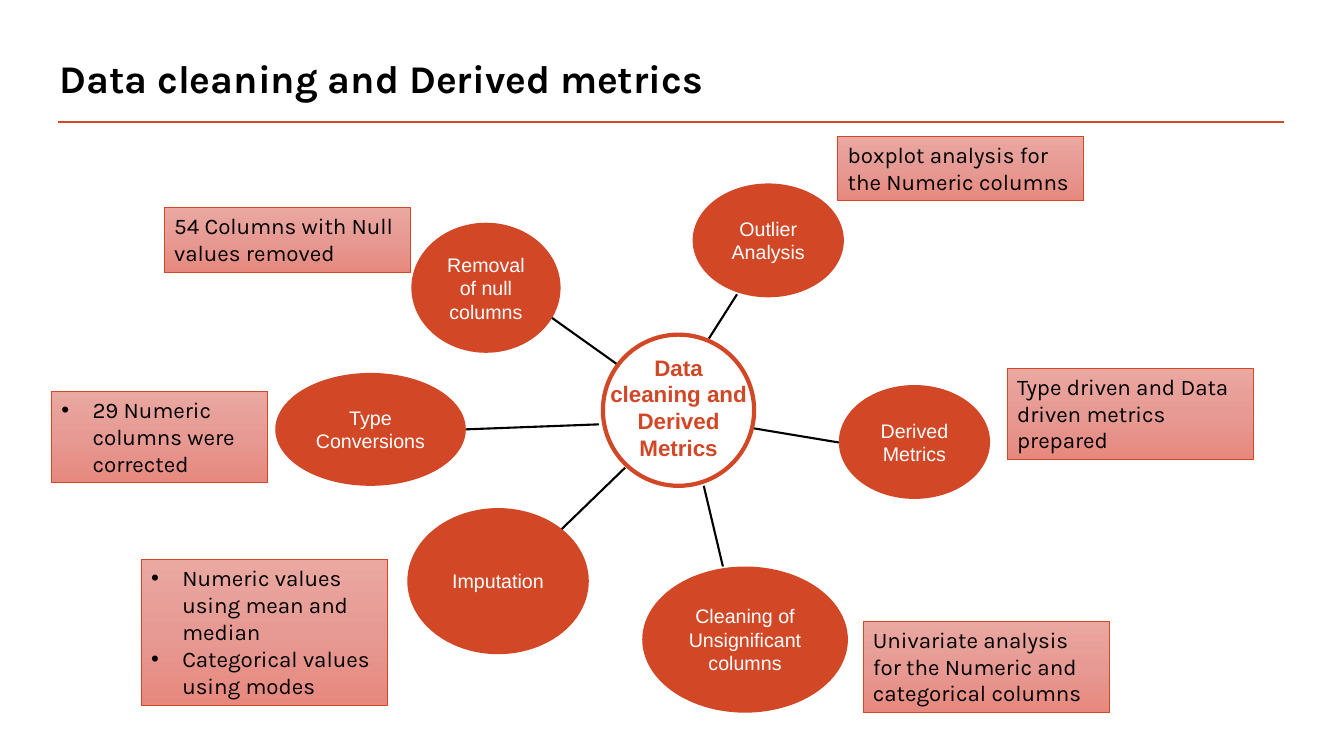
from copy import deepcopy

from lxml import etree
from pptx import Presentation
from pptx import util as u
from pptx.dml.color import RGBColor
from pptx.enum import shapes, text
from pptx.oxml import ns

PX = 9144  # EMU per px, 100 px to the inch

ORANGE = RGBColor(0xD2, 0x47, 0x26)
WHITE = RGBColor(0xFF, 0xFF, 0xFF)
BLACK = RGBColor(0x00, 0x00, 0x00)
NOTE_STOPS = [(0, RGBColor(0xEA, 0xA8, 0xA1)),
              (0.5, RGBColor(0xE6, 0x9A, 0x93)),
              (1, RGBColor(0xE7, 0x88, 0x7E))]

# Spokes: x1, y1, x2, y2
SPOKES = [
    (641, 382, 547, 315),
    (620, 464, 557, 525),
    (698, 482, 717, 562),
    (731, 292, 703, 336),
    (832, 439, 748, 425),
    (594, 421, 461, 426),
]

# Topics: label, then left, top, width, height
TOPICS = [
    ("Removal of null columns", (408, 221, 148, 129)),
    ("Imputation", (404, 504, 180, 145)),
    ("Outlier Analysis", (687, 182, 150, 113)),
    ("Cleaning of Unsignificant columns", (637, 562, 204, 145)),
    ("Derived Metrics", (832, 382, 150, 113)),
    ("Type Conversions", (273, 370, 189, 112)),
]

# Notes: lines, bulleted or not, then left, top, width, height
NOTES = [
    (["54 Columns with Null values removed"], False, (163, 206, 244, 64)),
    (["Numeric values using mean and median",
      "Categorical values using modes"], True, (140, 555, 244, 145)),
    (["boxplot analysis for the Numeric columns"], False, (831, 135, 244, 64)),
    (["Univariate analysis for the Numeric and categorical columns"], False,
     (856, 616, 244, 91)),
    (["Type driven and Data driven metrics prepared"], False,
     (999, 365, 244, 91)),
    (["29 Numeric columns were corrected"], True, (51, 388, 214, 91)),
]


def px(*lengths):
    return [u.Emu(n * PX) for n in lengths]


def write(sp, lines, font, size, color, bold=False,
          align=text.PP_ALIGN.LEFT, anchor=text.MSO_ANCHOR.TOP):
    tf = sp.text_frame
    tf.word_wrap = True
    tf.vertical_anchor = anchor
    tf.text = "\n".join(lines)
    for p in tf.paragraphs:
        p.alignment = align
        p.font.name = font
        p.font.size = u.Pt(size)
        p.font.bold = bold
        p.font.color.rgb = color
    return tf


def add_line(s, ends, color, width):
    line = s.shapes.add_connector(shapes.MSO_CONNECTOR.STRAIGHT, *px(*ends))
    line.line.color.rgb = color
    line.line.width = u.Pt(width)
    etree.SubElement(line._element.spPr, ns.qn("a:effectLst"))


def add_ellipse(s, box, fill):
    sp = s.shapes.add_shape(shapes.MSO_SHAPE.OVAL, *px(*box))
    sp.shadow.inherit = False
    sp.fill.solid()
    sp.fill.fore_color.rgb = fill
    sp.line.fill.background()
    return sp


def add_text(s, box, lines, *args, **style):
    return write(s.shapes.add_textbox(*px(*box)), lines, *args, **style)


def add_bullet(p):
    pPr = p._p.get_or_add_pPr()
    indent = 31 * PX
    pPr.set("marL", str(indent))
    pPr.set("indent", str(-indent))
    bullet_font = etree.Element(ns.qn("a:buFont"), typeface="Arial")
    bullet = etree.Element(ns.qn("a:buChar"), char="•")
    pPr.insert(0, bullet_font)
    pPr.insert(1, bullet)


def fill_gradient(sp):
    sp.fill.gradient()
    sp.fill.gradient_angle = 270
    stops = sp._element.spPr.find(".//" + ns.qn("a:gsLst"))
    stops.append(deepcopy(stops[-1]))
    for stop, (position, color) in zip(sp.fill.gradient_stops, NOTE_STOPS):
        stop.position = position
        stop.color.rgb = color


def add_note(s, lines, bulleted, box):
    sp = s.shapes.add_shape(shapes.MSO_SHAPE.RECTANGLE, *px(*box))
    sp.shadow.inherit = False
    fill_gradient(sp)
    sp.line.color.rgb = ORANGE
    sp.line.width = u.Pt(0.5)
    tf = write(sp, lines, "Karla", 16, BLACK)
    tf.auto_size = text.MSO_AUTO_SIZE.SHAPE_TO_FIT_TEXT
    if bulleted:
        for p in tf.paragraphs:
            add_bullet(p)


def main():
    prs = Presentation()
    prs.slide_width, prs.slide_height = px(1333, 750)
    s = prs.slides.add_slide(prs.slide_layouts[6])

    # Title and rule
    add_line(s, (58, 121, 1274, 121), ORANGE, 2)
    title = add_text(s, (49, 45, 1000, 70),
                     ["Data cleaning and Derived metrics"], "Karla", 28, BLACK,
                     bold=True, anchor=text.MSO_ANCHOR.MIDDLE)
    title.paragraphs[0].line_spacing = 0.9

    # Spokes
    for ends in SPOKES:
        add_line(s, ends, BLACK, 1.5)

    # Hub
    hub = add_ellipse(s, (598, 332, 150, 150), WHITE)
    hub.line.color.rgb = ORANGE
    hub.line.width = u.Pt(3)
    label = add_text(s, (592, 346, 162, 118),
                     ["Data cleaning and Derived Metrics"], "Arial", 16,
                     ORANGE, bold=True, align=text.PP_ALIGN.CENTER)
    label.auto_size = text.MSO_AUTO_SIZE.SHAPE_TO_FIT_TEXT

    # Topics
    for topic, box in TOPICS:
        write(add_ellipse(s, box, ORANGE), [topic], "Arial", 14, WHITE,
              align=text.PP_ALIGN.CENTER, anchor=text.MSO_ANCHOR.MIDDLE)

    # Notes
    for lines, bulleted, box in NOTES:
        add_note(s, lines, bulleted, box)

    prs.save("out.pptx")


if __name__ == "__main__":
    main()
